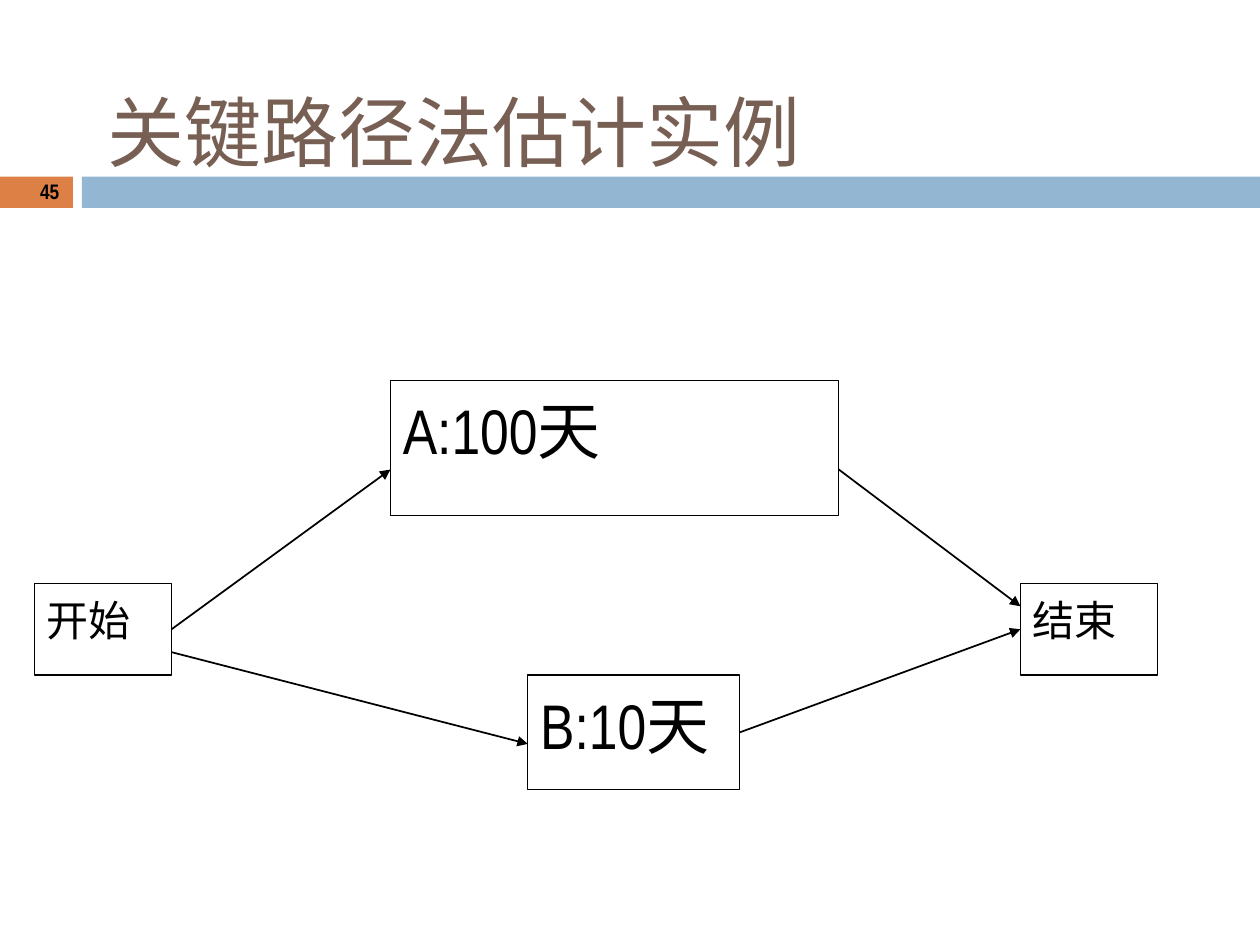
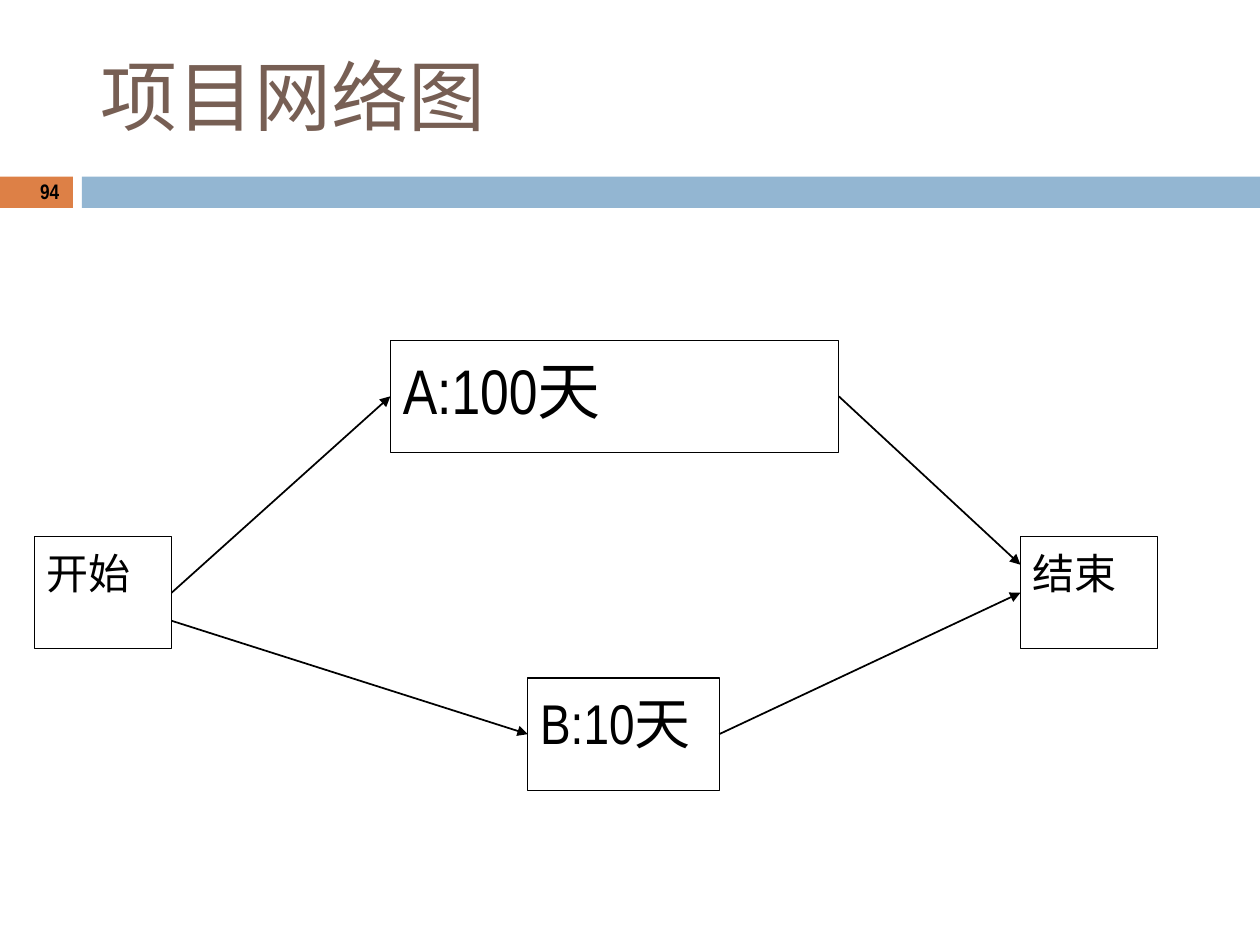
import pptx
import pptx.util
import pptx.dml.color
import pptx.enum.shapes
import pptx.enum.text
import pptx.oxml.ns
import lxml.etree

Cm, Pt = pptx.util.Cm, pptx.util.Pt

# Shared look
HUES = {"title": "775F54", "tile": "DD8046", "band": "93B6D2", "ink": "000000"}
LATIN, HAN = "Arial Narrow", "Noto Sans CJK SC"
SIZE = (25.4, 19.05)
BAND = {"top": 3.56, "high": 0.63, "tile": 1.47, "left": 1.65}
RIGHT, LEFT = 3, 1  # connection sites

# Content: task boxes are (left, top, width, height, point size, text runs)
SLIDES = [
    {
        "title": "关键路径法估计实例", "at": (2.16, 1.63), "page": "45",
        "tasks": {
            "start": (0.69, 11.76, 2.77, 1.85, 24, ["开始"]),
            "A": (7.87, 7.67, 9.04, 2.72, 36, ["A:100", "天"]),
            "B": (10.64, 13.61, 4.27, 2.31, 36, ["B:10", "天"]),
            "end": (20.57, 11.76, 2.77, 1.85, 24, ["结束"]),
        },
        # from, share of its height, to, share of its height
        "links": [("start", 0.75, "B", 0.6), ("start", 0.5, "A", 0.66),
                  ("B", 0.5, "end", 0.5), ("A", 0.66, "end", 0.25)],
    },
    {
        "title": "项目网络图", "at": (2.03, 0.91), "page": "94",
        "tasks": {
            "start": (0.69, 10.82, 2.77, 2.26, 24, ["开始"]),
            "A": (7.87, 6.86, 9.04, 2.26, 36, ["A:100", "天"]),
            "B": (10.64, 13.67, 3.86, 2.26, 32, ["B:10", "天"]),
            "end": (20.57, 10.82, 2.77, 2.26, 24, ["结束"]),
        },
        "links": [("start", 0.75, "B", 0.5), ("start", 0.5, "A", 0.5),
                  ("B", 0.5, "end", 0.5), ("A", 0.5, "end", 0.25)],
    },
]


def rgb(name):
    return pptx.dml.color.RGBColor.from_string(HUES[name])


def write(shape, runs, size, hue, inset, bold=False):
    """Fill a shape with one left-aligned line; inset is (left, top)."""
    frame = shape.text_frame
    frame.word_wrap = True
    frame.vertical_anchor = pptx.enum.text.MSO_ANCHOR.TOP
    frame.margin_left, frame.margin_top = Cm(inset[0]), Cm(inset[1])
    frame.margin_right = frame.margin_bottom = 0
    para = frame.paragraphs[0]
    para.alignment = pptx.enum.text.PP_ALIGN.LEFT
    for text in runs:
        run = para.add_run()
        run.text = text
        font = run.font
        font.size, font.bold = Pt(size), bold
        font.name = LATIN if text.isascii() else HAN
        font.color.rgb = rgb(hue)
        east = lxml.etree.SubElement(run._r.get_or_add_rPr(), pptx.oxml.ns.qn("a:ea"))
        east.set("typeface", HAN)


def rect(slide, left, top, width, high, fill=None):
    """Draw a plain filled rectangle, or an outlined one without a fill."""
    kind = pptx.enum.shapes.MSO_SHAPE.RECTANGLE
    shape = slide.shapes.add_shape(kind, Cm(left), Cm(top), Cm(width), Cm(high))
    shape.shadow.inherit = False
    if fill:
        shape.fill.solid()
        shape.fill.fore_color.rgb = rgb(fill)
        shape.line.fill.background()
    else:
        shape.fill.background()
        shape.line.color.rgb = rgb("ink")
        shape.line.width = Pt(0.72)
    return shape


def label(slide, left, top, width, high, text, size, hue, inset, bold=False):
    box = slide.shapes.add_textbox(Cm(left), Cm(top), Cm(width), Cm(high))
    write(box, [text], size, hue, inset, bold)


def frame(slide, data):
    """Bands, title and page number."""
    rect(slide, 0, BAND["top"], BAND["tile"], BAND["high"], "tile")
    rect(slide, BAND["left"], BAND["top"], SIZE[0] - BAND["left"], BAND["high"], "band")
    label(slide, *data["at"], 20, 1.93, data["title"], 44, "title", (0, 0.07))
    label(slide, 0.81, 3.53, 0.6, 0.58, data["page"], 12, "ink", (0, 0.06), True)


def link(slide, tail, out, head, into):
    """Arrow from the right side of one box to the left side of another."""
    line = slide.shapes.add_connector(
        pptx.enum.shapes.MSO_CONNECTOR.STRAIGHT,
        tail.left + tail.width, int(tail.top + out * tail.height),
        head.left, int(head.top + into * head.height))
    if out == 0.5:
        line.begin_connect(tail, RIGHT)
    if into == 0.5:
        line.end_connect(head, LEFT)
    line.line.color.rgb = rgb("ink")
    line.line.width = Pt(1)
    tip = lxml.etree.SubElement(line.line._get_or_add_ln(), pptx.oxml.ns.qn("a:tailEnd"))
    tip.set("type", "triangle")
    lxml.etree.SubElement(line._element.spPr, pptx.oxml.ns.qn("a:effectLst"))


def main():
    deck = pptx.Presentation()
    deck.slide_width, deck.slide_height = Cm(SIZE[0]), Cm(SIZE[1])
    for data in SLIDES:
        slide = deck.slides.add_slide(deck.slide_layouts[6])
        frame(slide, data)
        # Task boxes, then the arrows between them
        boxes = {}
        for name, (*place, size, runs) in data["tasks"].items():
            boxes[name] = rect(slide, *place)
            write(boxes[name], runs, size, "ink", (0.25, 0.22))
        for tail, out, head, into in data["links"]:
            link(slide, boxes[tail], out, boxes[head], into)
    deck.save("out.pptx")


if __name__ == "__main__":
    main()
